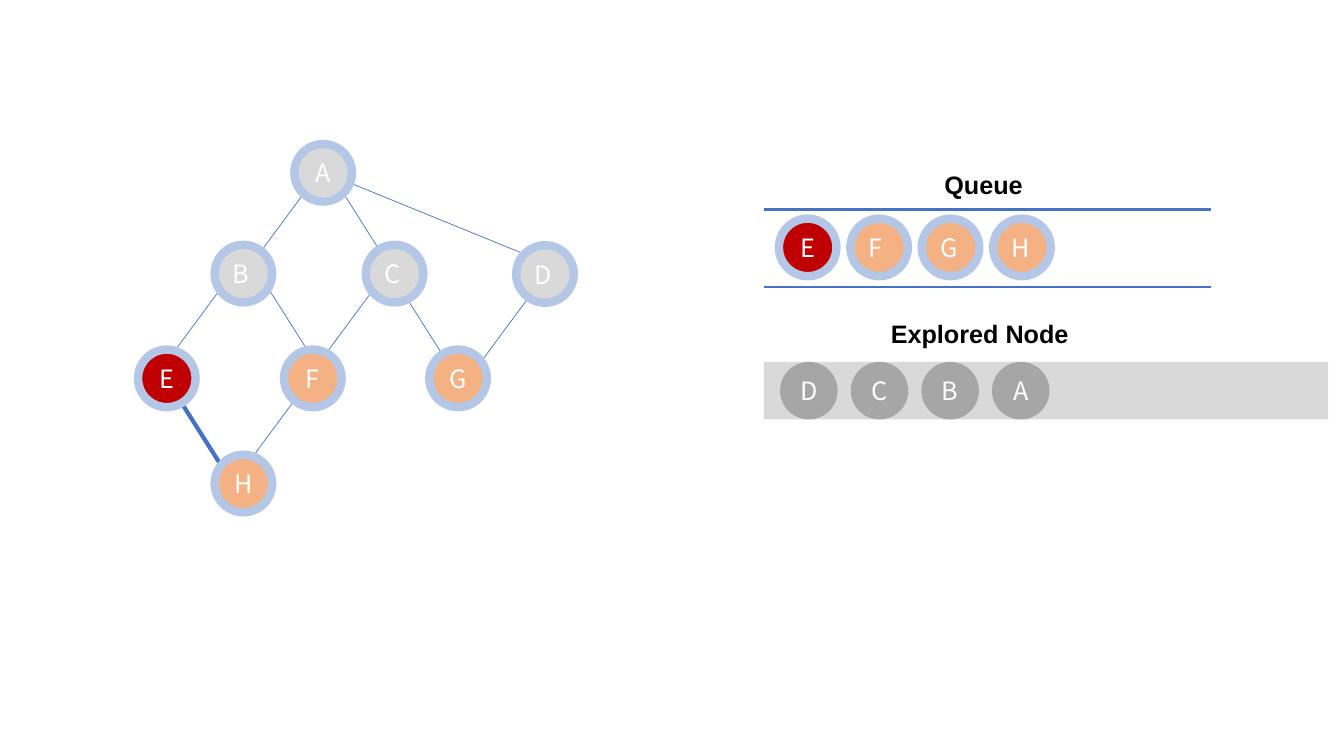
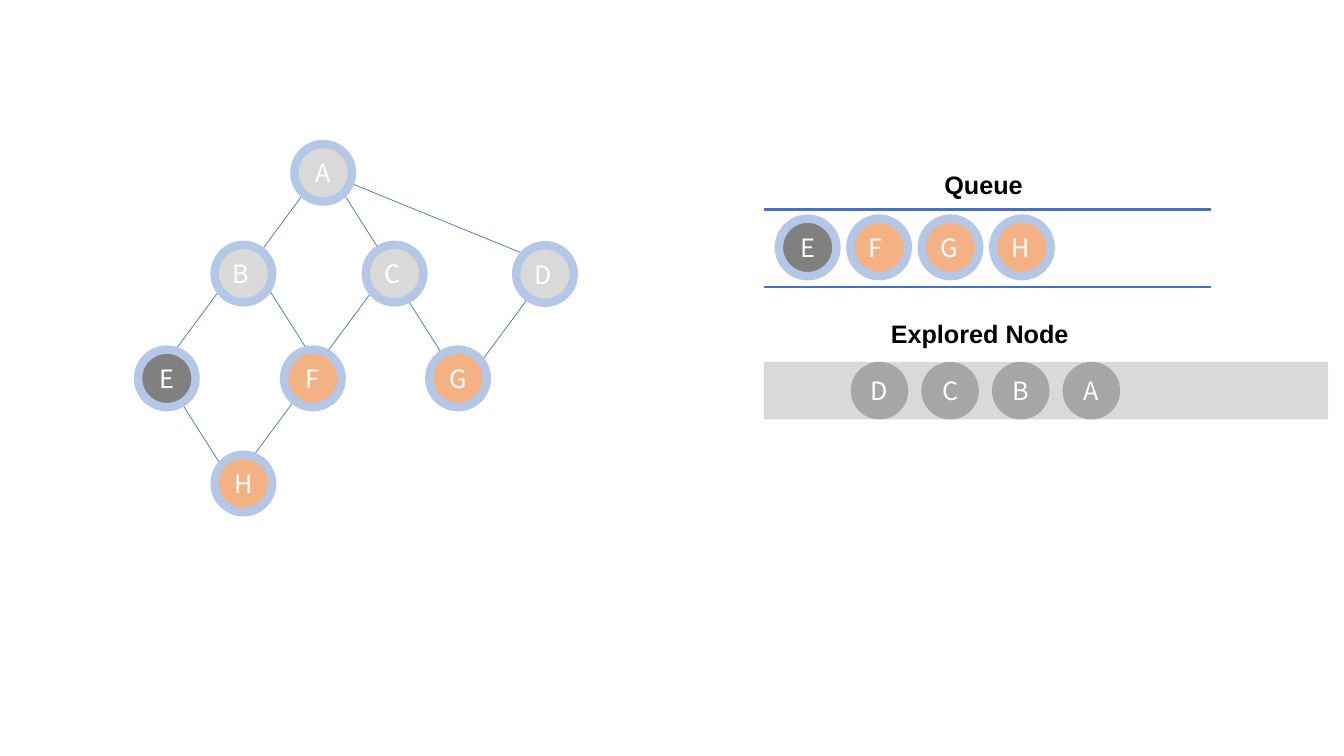
import dataclasses

import lxml.etree
import pptx
import pptx.dml.color
import pptx.enum.shapes
import pptx.enum.text
import pptx.oxml.ns
import pptx.util

Cm = pptx.util.Cm
Pt = pptx.util.Pt
Align = pptx.enum.text.PP_ALIGN
Shape = pptx.enum.shapes.MSO_SHAPE


@dataclasses.dataclass(frozen=True)
class Theme:
    line: str = "4472C4"
    ring: str = "B4C7E7"
    visited: str = "D9D9D9"
    waiting: str = "F4B183"
    current: str = "C00000"
    finished: str = "808080"
    explored: str = "A6A6A6"
    band: str = "D9D9D9"
    letter: str = "FFFFFF"
    heading: str = "000000"
    letter_font: str = "Noto Sans CJK SC"
    heading_font: str = "Arial"
    text_size: float = 18
    ring_width: float = 6
    thin: float = 0.5
    rule: float = 1.5
    thick: float = 3


THEME = Theme()

# All lengths below are in centimetres.
DIAMETER = 1.45
TREE_NODES = {
    "A": (7.42, 3.63),
    "B": (5.41, 6.17),
    "C": (9.22, 6.17),
    "D": (13.01, 6.18),
    "E": (3.48, 8.81),
    "F": (7.16, 8.81),
    "G": (10.82, 8.81),
    "H": (5.41, 11.46),
}
TO_LEFT_CHILD = (-1.5, 2.03)
TO_RIGHT_CHILD = (1.28, 2.02)
TO_FAR_CHILD = (4.29, 1.75)
# Edge name: upper end and step to the lower end.
TREE_EDGES = {
    "AB": (7.65, 4.88, TO_LEFT_CHILD),
    "AC": (8.66, 4.88, TO_RIGHT_CHILD),
    "AD": (8.92, 4.65, TO_FAR_CHILD),
    "BE": (5.66, 7.14, TO_LEFT_CHILD),
    "BF": (6.68, 7.14, TO_RIGHT_CHILD),
    "CF": (9.45, 7.24, TO_LEFT_CHILD),
    "CG": (10.19, 7.42, TO_RIGHT_CHILD),
    "DG": (13.51, 7.24, TO_LEFT_CHILD),
    "EH": (4.37, 9.83, TO_RIGHT_CHILD),
    "FH": (7.72, 9.68, TO_LEFT_CHILD),
}
PANEL_LEFT = 19.25
QUEUE_RIGHT = 30.53
QUEUE_RULES = (5.28, 7.24)
QUEUE_START, QUEUE_TOP, QUEUE_PITCH = 19.63, 5.51, 1.8
EXPLORED_START, EXPLORED_TOP, EXPLORED_PITCH = 19.66, 9.12, 1.78
BAND_WIDTH = 14.22


def rgb(value):
    return pptx.dml.color.RGBColor.from_string(value)


def add_line(shapes, start, end, width):
    line = shapes.add_connector(
        pptx.enum.shapes.MSO_CONNECTOR.STRAIGHT, *map(Cm, (*start, *end)))
    line.line.color.rgb = rgb(THEME.line)
    line.line.width = Pt(width)
    lxml.etree.SubElement(line.element.spPr, pptx.oxml.ns.qn("a:effectLst"))


def add_filled(shapes, preset, left, top, width, height, fill):
    shape = shapes.add_shape(preset, *map(Cm, (left, top, width, height)))
    shape.shadow.inherit = False
    shape.fill.solid()
    shape.fill.fore_color.rgb = rgb(fill)
    shape.line.fill.background()
    return shape


def write(frame, text, font_name, color, align, bold=False):
    para = frame.paragraphs[0]
    para.text = text
    para.alignment = align
    para.font.name = font_name
    para.font.size = Pt(THEME.text_size)
    para.font.bold = bold
    para.font.color.rgb = rgb(color)


def add_node(shapes, letter, left, top, fill, ringed=True, align=Align.CENTER):
    node = add_filled(shapes, Shape.OVAL, left, top, DIAMETER, DIAMETER, fill)
    if ringed:
        node.line.color.rgb = rgb(THEME.ring)
        node.line.width = Pt(THEME.ring_width)
    node.text_frame.vertical_anchor = pptx.enum.text.MSO_ANCHOR.MIDDLE
    write(node.text_frame, letter, THEME.letter_font, THEME.letter, align)


def add_heading(shapes, text, left, top):
    box = shapes.add_textbox(*map(Cm, (left, top, 7.54, 1.02)))
    box.text_frame.word_wrap = True
    write(box.text_frame, text, THEME.heading_font, THEME.heading,
          Align.LEFT, bold=True)


def add_tree(shapes, first_fill, active_edge):
    """Draw the graph as one group; first_fill colours E, the queue's head."""
    tree = shapes.add_group_shape().shapes
    for name, (left, top, (across, down)) in TREE_EDGES.items():
        width = THEME.thick if name == active_edge else THEME.thin
        add_line(tree, (left, top), (left + across, top + down), width)
    for letter, (left, top) in TREE_NODES.items():
        if letter in "ABCD":
            fill = THEME.visited
        else:
            fill = first_fill if letter == "E" else THEME.waiting
        align = Align.JUSTIFY if letter in "BCD" else Align.CENTER
        add_node(tree, letter, left, top, fill, align=align)


def add_queue(shapes, first_fill):
    add_heading(shapes, "Queue", 23.55, 4.14)
    for height in QUEUE_RULES:
        add_line(shapes, (PANEL_LEFT, height), (QUEUE_RIGHT, height), THEME.rule)
    for slot, letter in enumerate("EFGH"):
        add_node(shapes, letter, QUEUE_START + slot * QUEUE_PITCH, QUEUE_TOP,
                 THEME.waiting if slot else first_fill,
                 align=Align.JUSTIFY if slot else Align.CENTER)


def add_explored(shapes, first_slot):
    """Draw the explored band, its nodes starting at the given slot."""
    add_heading(shapes, "Explored Node", 22.2, 7.9)
    add_filled(shapes, Shape.RECTANGLE, PANEL_LEFT, EXPLORED_TOP,
               BAND_WIDTH, DIAMETER, THEME.band)
    for slot, letter in enumerate("DCBA", first_slot):
        add_node(shapes, letter, EXPLORED_START + slot * EXPLORED_PITCH,
                 EXPLORED_TOP, THEME.explored, ringed=False)


def add_step(deck, first_fill, active_edge, first_slot):
    shapes = deck.slides.add_slide(deck.slide_layouts[6]).shapes
    add_tree(shapes, first_fill, active_edge)
    add_queue(shapes, first_fill)
    add_explored(shapes, first_slot)


def main():
    deck = pptx.Presentation()
    deck.slide_width = Cm(33.87)
    deck.slide_height = Cm(19.05)
    add_step(deck, THEME.current, active_edge="EH", first_slot=0)
    add_step(deck, THEME.finished, active_edge=None, first_slot=1)
    deck.save("out.pptx")


if __name__ == "__main__":
    main()
